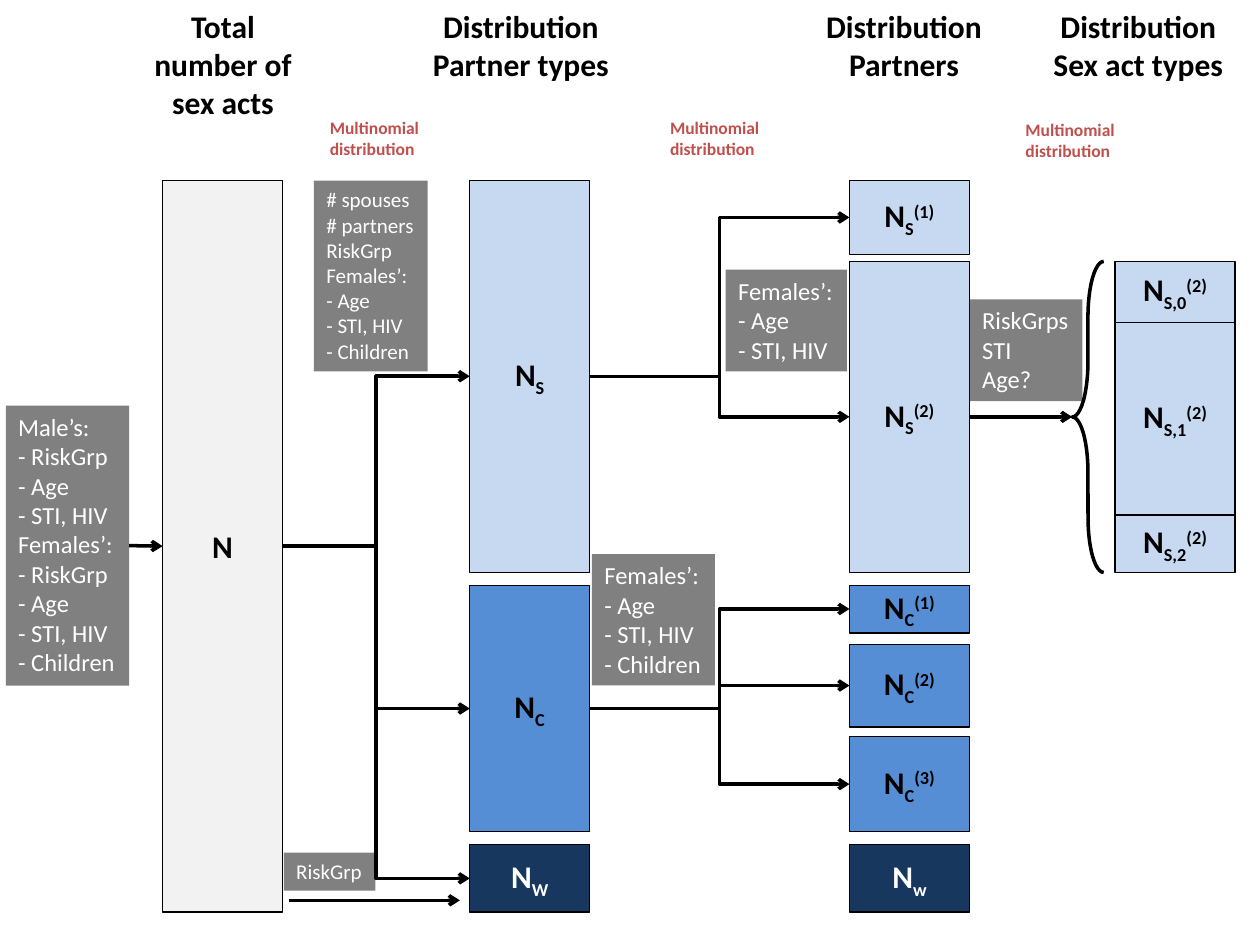
from dataclasses import dataclass

from lxml.etree import SubElement
from pptx import Presentation
from pptx.dml.color import RGBColor
from pptx.enum.shapes import MSO_CONNECTOR as Link, MSO_SHAPE as Preset
from pptx.enum.text import MSO_ANCHOR, MSO_AUTO_SIZE, PP_ALIGN
from pptx.oxml.ns import qn
from pptx.util import Pt


@dataclass(frozen=True)
class Theme:
    font: str = "Calibri"
    black: str = "000000"
    white: str = "FFFFFF"
    total: str = "F2F2F2"
    spouse: str = "C6D9F1"
    casual: str = "558ED5"
    worker: str = "17375E"
    note: str = "808080"
    accent: str = "C0504D"
    heading_size: int = 18
    note_size: int = 14
    small_note_size: int = 12
    label_size: int = 10
    outline: float = 0.75
    flow: float = 2


THEME = Theme()


@dataclass(frozen=True)
class Block:
    key: str
    left: float
    top: float
    height: float
    fill: str
    sub: str = ""
    sup: str = ""
    color: str = THEME.black


@dataclass(frozen=True)
class Caption:
    left: float
    top: float
    width: float
    height: float
    lines: tuple[str, ...]
    size: int = THEME.note_size
    color: str = THEME.white
    fill: str = ""
    bold: bool = False
    centred: bool = False
    wrap: bool = False


deck = Presentation()
deck.slide_width, deck.slide_height = Pt(720), Pt(540)
page = deck.slides.add_slide(deck.slide_layouts[6])
shapes = page.shapes


def rgb(value: str) -> RGBColor:
    return RGBColor.from_string(value)


def style(para, size: int, color: str, bold: bool, centred: bool) -> None:
    font = para.font
    font.name, font.size, font.bold = THEME.font, Pt(size), bold
    font.color.rgb = rgb(color)
    para.alignment = PP_ALIGN.CENTER if centred else PP_ALIGN.LEFT


def draw_block(block: Block):
    box = shapes.add_shape(Preset.RECTANGLE, Pt(block.left), Pt(block.top),
                           Pt(BLOCK_WIDTH), Pt(block.height))
    box.shadow.inherit = False
    box.fill.solid()
    box.fill.fore_color.rgb = rgb(block.fill)
    box.line.color.rgb = rgb(THEME.black)
    box.line.width = Pt(THEME.outline)
    box.text_frame.vertical_anchor = MSO_ANCHOR.MIDDLE
    para = box.text_frame.paragraphs[0]
    style(para, THEME.heading_size, block.color, True, True)
    for text, baseline in (("N", 0), (block.sub, -25000), (block.sup, 30000)):
        if text:
            span = para.add_run()
            span.text = text
            if baseline:
                span._r.get_or_add_rPr().set("baseline", str(baseline))
    return box


def draw_caption(caption: Caption):
    box = shapes.add_textbox(Pt(caption.left), Pt(caption.top),
                             Pt(caption.width), Pt(caption.height))
    if caption.fill:
        box.fill.solid()
        box.fill.fore_color.rgb = rgb(caption.fill)
    frame = box.text_frame
    frame.word_wrap = caption.wrap
    frame.auto_size = MSO_AUTO_SIZE.SHAPE_TO_FIT_TEXT
    frame.text = "\n".join(caption.lines)
    for para in frame.paragraphs:
        style(para, caption.size, caption.color, caption.bold, caption.centred)
    return box


def draw_arrow(kind, start: tuple[float, float] = (0, 0), end: tuple[float, float] = (0, 0)):
    arrow = shapes.add_connector(kind, *(Pt(v) for v in (*start, *end)))
    arrow.line.color.rgb = rgb(THEME.black)
    arrow.line.width = Pt(THEME.flow)
    SubElement(arrow.line._get_or_add_ln(), qn("a:tailEnd"), type="arrow")
    SubElement(arrow._element.spPr, qn("a:effectLst"))
    return arrow


def join(source, target, kind=Link.ELBOW) -> None:
    """Arrow from the right side of source to the left side of target."""
    arrow = draw_arrow(kind)
    arrow.begin_connect(source, 3)
    arrow.end_connect(target, 1)


# Blocks, column by column
BLOCK_WIDTH = 68.5
TOTAL_X, TYPE_X, PARTNER_X, ACT_X = 92.9, 268.4, 485.4, 637.2
TOP, SPLIT_TOP, CASUAL_TOP, WORKER_TOP = 103, 149.4, 334.4, 482.7
BLOCKS = (
    Block("total", TOTAL_X, TOP, 418.2, THEME.total),
    Block("S", TYPE_X, TOP, 224.1, THEME.spouse, "S"),
    Block("C", TYPE_X, CASUAL_TOP, 141, THEME.casual, "C"),
    Block("W", TYPE_X, WORKER_TOP, 38.5, THEME.worker, "W", color=THEME.white),
    Block("S1", PARTNER_X, TOP, 42.6, THEME.spouse, "S", "(1)"),
    Block("S2", PARTNER_X, SPLIT_TOP, 177.7, THEME.spouse, "S", "(2)"),
    Block("C1", PARTNER_X, CASUAL_TOP, 27.3, THEME.casual, "C", "(1)"),
    Block("C2", PARTNER_X, 368.2, 47.2, THEME.casual, "C", "(2)"),
    Block("C3", PARTNER_X, 420.8, 54.6, THEME.casual, "C", "(3)"),
    Block("w", PARTNER_X, WORKER_TOP, 38.5, THEME.worker, "w", color=THEME.white),
    Block("act0", ACT_X, SPLIT_TOP, 34.8, THEME.spouse, "S,0", "(2)"),
    Block("act1", ACT_X, 184.2, 110.2, THEME.spouse, "S,1", "(2)"),
    Block("act2", ACT_X, 294.4, 32.7, THEME.spouse, "S,2", "(2)"),
)
blocks = {block.key: draw_block(block) for block in BLOCKS}

# Grey notes naming what each split depends on
FEMALE = ("Females’:", "- Age", "- STI, HIV")
MALE = ("Male’s:", "- RiskGrp", "- Age", "- STI, HIV")
CHILDREN = "- Children"
NOTES = (
    Caption(3.3, 231.8, 70.5, 160, (*MALE, "Females’:", *MALE[1:], CHILDREN), fill=THEME.note),
    Caption(179.4, 103.2, 65, 109, ("# spouses", "# partners", "RiskGrp", *FEMALE, CHILDREN),
            THEME.small_note_size, fill=THEME.note),
    Caption(414.7, 154, 69.2, 58.2, FEMALE, fill=THEME.note),
    Caption(338.3, 316.6, 70.3, 75.1, (*FEMALE, CHILDREN), fill=THEME.note),
    Caption(554.2, 171, 64.4, 58.2, ("RiskGrps", "STI", "Age?"), fill=THEME.note),
    Caption(162.2, 487.2, 52.3, 21.8, ("RiskGrp",), THEME.small_note_size, fill=THEME.note),
)
male_note, *_ = [draw_caption(note) for note in NOTES]

# Column headings
HEADINGS = (
    (75.6, 103.7, 72.7, ("Total number of sex acts",)),
    (228.2, 139, 51, ("Distribution", "Partner types")),
    (447.1, 139, 51, ("Distribution", "Partners")),
    (581, 139, 51, ("Distribution", "Sex act types")),
)
for left, width, height, lines in HEADINGS:
    draw_caption(Caption(left, 0.7, width, height, lines, THEME.heading_size,
                         THEME.black, bold=True, centred=True, wrap=True))

# Labels between the columns
for left, top in ((181.4, 63.4), (375.8, 63.4), (578.9, 64.6)):
    draw_caption(Caption(left, top, 66.2, 31.5, ("Multinomial ", "distribution"),
                         THEME.label_size, THEME.accent, bold=True))

# Brace around the sex act types
brace = shapes.add_shape(Preset.LEFT_BRACE, Pt(612.7), Pt(SPLIT_TOP), Pt(18), Pt(177.7))
brace.shadow.inherit = False
brace.fill.background()
brace.line.color.rgb = rgb(THEME.black)
brace.line.width = Pt(THEME.flow)
brace.adjustments[0] = 1.757

# Flow arrows
FLOWS = {"total": ("S", "C", "W"), "S": ("S1", "S2"), "C": ("C1", "C2", "C3")}
for source, targets in FLOWS.items():
    for target in targets:
        join(blocks[source], blocks[target])
join(male_note, blocks["total"], Link.STRAIGHT)
join(blocks["S2"], brace, Link.STRAIGHT)
draw_arrow(Link.STRAIGHT, (164.9, 514.5), (262.8, 514.5))

deck.save("out.pptx")
